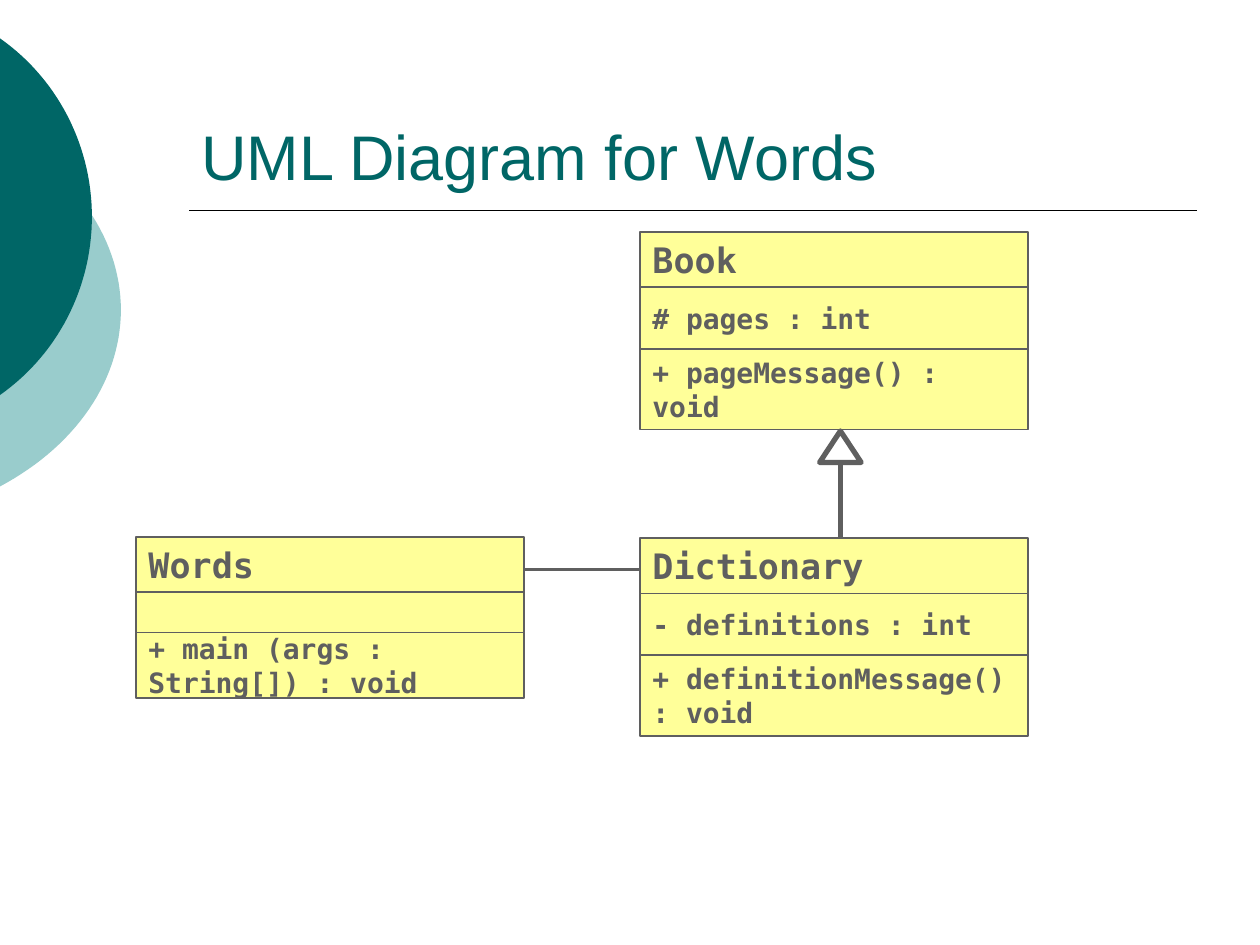
from math import acos, cos, sin

from pptx import Presentation
from pptx.dml.color import RGBColor
from pptx.enum.shapes import MSO_CONNECTOR, MSO_SHAPE
from pptx.enum.text import MSO_ANCHOR, PP_ALIGN
from pptx.oxml.ns import qn
from pptx.util import Inches, Pt

TEAL = RGBColor(0x00, 0x66, 0x66)
PALE_TEAL = RGBColor(0x99, 0xCC, 0xCC)
YELLOW = RGBColor(0xFF, 0xFF, 0x99)
GRAY = RGBColor(0x5F, 0x5F, 0x5F)
BLACK = RGBColor(0x00, 0x00, 0x00)
SANS = "Arial"
MONO = "DejaVu Sans Mono"
CLASS_WIDTH = 3.08


class UmlSlide:
    def __init__(self, slide):
        self.shapes = slide.shapes

    def add_text(self, sp, text, size, font, color, bold, anchor):
        tf = sp.text_frame
        tf.word_wrap = True
        tf.vertical_anchor = anchor
        p = tf.paragraphs[0]
        p.alignment = PP_ALIGN.LEFT
        r = p.add_run()
        r.text = text
        r.font.size = Pt(size)
        r.font.name = font
        r.font.bold = bold
        r.font.color.rgb = color

    def title(self, text):
        sp = self.shapes.add_textbox(Inches(1.5), Inches(0.33), Inches(8), Inches(1.25))
        self.add_text(sp, text, 36, SANS, TEAL, False, MSO_ANCHOR.BOTTOM)

    def line(self, x1, y1, x2, y2, color, width):
        ln = self.shapes.add_connector(
            MSO_CONNECTOR.STRAIGHT, Inches(x1), Inches(y1), Inches(x2), Inches(y2))
        ln.line.color.rgb = color
        ln.line.width = Pt(width)
        sp_pr = ln._element.spPr
        sp_pr.append(sp_pr.makeelement(qn("a:effectLst"), {}))

    def shape(self, kind, x, y, w, h, fill, width):
        sp = self.shapes.add_shape(kind, Inches(x), Inches(y), Inches(w), Inches(h))
        sp.shadow.inherit = False
        if fill is None:
            sp.fill.background()
        else:
            sp.fill.solid()
            sp.fill.fore_color.rgb = fill
        sp.line.color.rgb = GRAY
        sp.line.width = Pt(width)
        return sp

    def edge_ellipse(self, cx, cy, rx, ry, color, steps=60):
        """Draw the part of an ellipse that lies right of the slide's left edge."""
        limit = acos(-cx / rx)
        angles = [limit * (2 * i / steps - 1) for i in range(steps + 1)]
        points = [(Inches(cx + rx * cos(a)), Inches(cy + ry * sin(a))) for a in angles]
        builder = self.shapes.build_freeform(*points[0])
        builder.add_line_segments(points[1:], close=True)
        sp = builder.convert_to_shape()
        sp.shadow.inherit = False
        sp.fill.solid()
        sp.fill.fore_color.rgb = color
        sp.line.fill.background()

    def uml_class(self, x, y, texts, heights):
        """Stack the name, attribute and method compartments of a class."""
        for text, height, size in zip(texts, heights, (20, 16, 16)):
            sp = self.shape(MSO_SHAPE.RECTANGLE, x, y, CLASS_WIDTH, height, YELLOW, 1)
            if text:
                self.add_text(sp, text, size, MONO, GRAY, True, MSO_ANCHOR.MIDDLE)
            y += height

    def inheritance(self, x, child_y, parent_y):
        """Draw a hollow-headed arrow up from the child class to its parent."""
        head_w, head_h = 0.33, 0.25
        self.line(x, child_y, x, parent_y + head_h, GRAY, 3)
        self.shape(MSO_SHAPE.ISOSCELES_TRIANGLE, x - head_w / 2, parent_y,
                   head_w, head_h, None, 3)


def main():
    prs = Presentation()
    prs.slide_width, prs.slide_height = Inches(10), Inches(7.5)
    s = UmlSlide(prs.slides.add_slide(prs.slide_layouts[6]))

    s.edge_ellipse(-1.29, 2.46, 2.25, 1.71, PALE_TEAL)
    s.edge_ellipse(-0.96, 1.72, 1.69, 1.72, TEAL)
    s.line(1.5, 1.67, 9.5, 1.67, BLACK, 1)
    s.title("UML Diagram for Words")

    s.line(3.58, 4.52, 5.08, 4.52, GRAY, 2.25)
    full, compact = (0.44, 0.49, 0.64), (0.44, 0.32, 0.52)
    s.uml_class(5.08, 1.84, ("Book", "# pages : int", "+ pageMessage() : void"), full)
    s.inheritance(6.67, 4.33, 3.42)
    s.uml_class(5.08, 4.27, ("Dictionary", "- definitions : int",
                             "+ definitionMessage() : void"), full)
    s.uml_class(1.08, 4.26, ("Words", "", "+ main (args : String[]) : void"), compact)

    prs.save("out.pptx")


if __name__ == "__main__":
    main()
